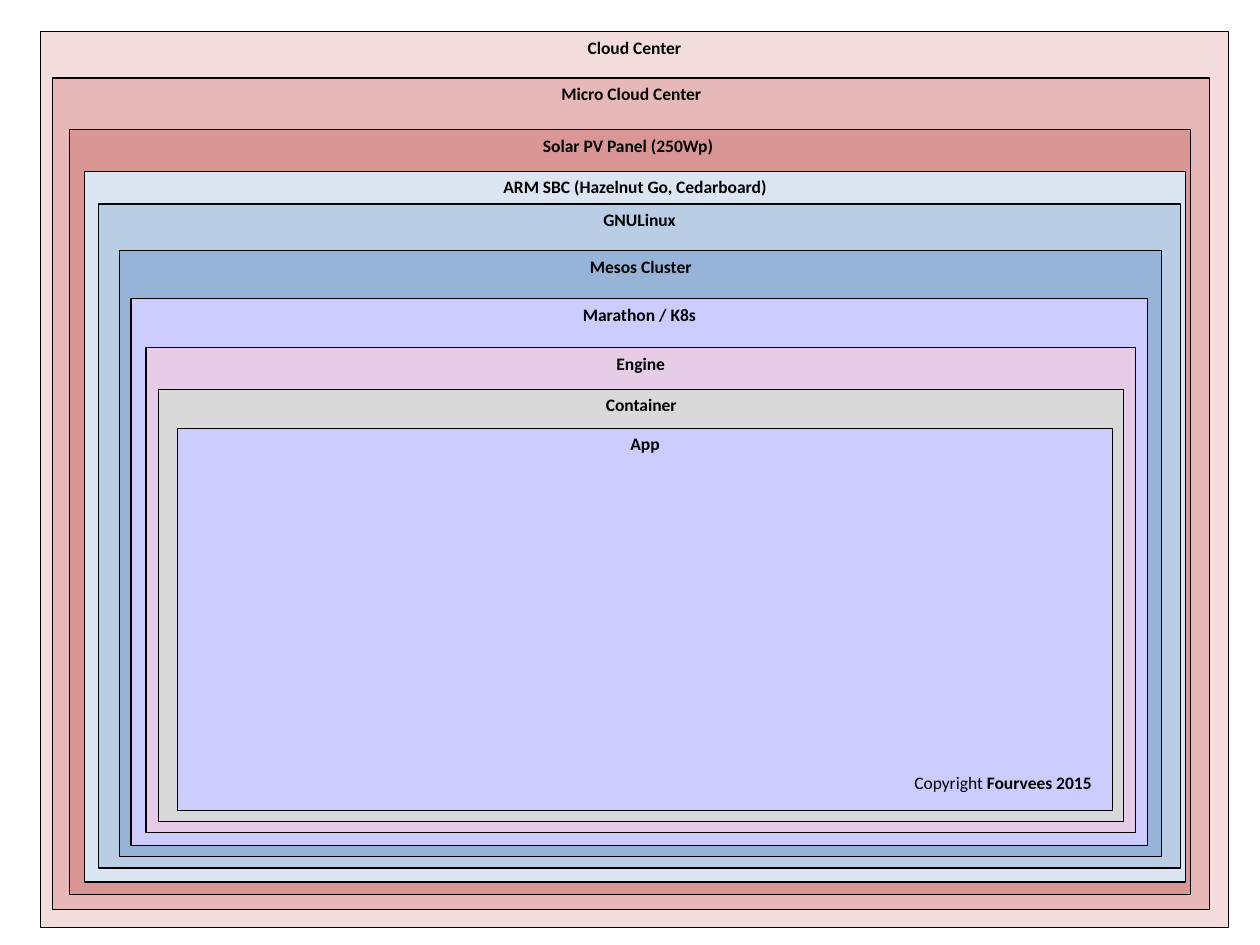
from typing import NamedTuple

from pptx import Presentation
from pptx.dml.color import RGBColor
from pptx.enum.shapes import MSO_SHAPE
from pptx.enum.text import MSO_ANCHOR, PP_ALIGN
from pptx.slide import Slide
from pptx.text.text import TextFrame, _Run
from pptx.util import Pt

BLACK = RGBColor(0x00, 0x00, 0x00)
PALE_RED = RGBColor(0xF3, 0xDC, 0xDC)
LIGHT_RED = RGBColor(0xE6, 0xB9, 0xB8)
MID_RED = RGBColor(0xDA, 0x96, 0x94)
PALE_BLUE = RGBColor(0xDC, 0xE6, 0xF2)
LIGHT_BLUE = RGBColor(0xB9, 0xCD, 0xE5)
MID_BLUE = RGBColor(0x95, 0xB4, 0xD8)
LAVENDER = RGBColor(0xCC, 0xCC, 0xFF)
PINK = RGBColor(0xE6, 0xCC, 0xE6)
GREY = RGBColor(0xD9, 0xD9, 0xD9)

FONT = "Calibri"
FONT_SIZE = Pt(10)
INSET = Pt(2.9)


class Layer(NamedTuple):
    title: str
    fill: RGBColor
    left: float
    top: float
    width: float
    height: float


LAYERS = [
    Layer("Cloud Center", PALE_RED, 23, 18, 679, 512),
    Layer("Micro Cloud Center", LIGHT_RED, 30.2, 44.6, 661, 475.2),
    Layer("Solar PV Panel (250Wp) ", MID_RED, 39.6, 74.2, 640.8, 437),
    Layer("ARM SBC (Hazelnut Go, Cedarboard)", PALE_BLUE, 48.2, 97.9, 629.3, 406.1),
    Layer("GNULinux", LIGHT_BLUE, 56.2, 116.6, 618.5, 379.4),
    Layer("Mesos Cluster", MID_BLUE, 68.4, 143.3, 595.4, 346.3),
    Layer("Marathon / K8s", LAVENDER, 74.9, 170.6, 581, 312.5),
    Layer("Engine", PINK, 83.5, 198.7, 565.2, 277.2),
    Layer("Container", GREY, 90.7, 222.5, 551.5, 247),
    Layer("App", LAVENDER, 101.5, 244.8, 534.2, 218.2),
]


def set_up_frame(frame: TextFrame) -> None:
    frame.word_wrap = True
    frame.vertical_anchor = MSO_ANCHOR.TOP
    frame.margin_left = frame.margin_right = INSET
    frame.margin_top = frame.margin_bottom = INSET
    frame.paragraphs[0].alignment = PP_ALIGN.CENTER


def format_run(run: _Run, bold: bool) -> None:
    run.font.name = FONT
    run.font.size = FONT_SIZE
    run.font.bold = bold
    run.font.color.rgb = BLACK


def draw_layer(slide: Slide, layer: Layer) -> None:
    box = slide.shapes.add_shape(
        MSO_SHAPE.RECTANGLE,
        Pt(layer.left), Pt(layer.top), Pt(layer.width), Pt(layer.height),
    )
    box.shadow.inherit = False
    box.fill.solid()
    box.fill.fore_color.rgb = layer.fill
    box.line.color.rgb = BLACK
    box.line.width = Pt(0.75)
    box.text_frame.text = layer.title
    set_up_frame(box.text_frame)
    format_run(box.text_frame.paragraphs[0].runs[0], bold=True)


def draw_copyright(slide: Slide) -> None:
    notice = slide.shapes.add_textbox(Pt(515.5), Pt(438.5), Pt(115.2), Pt(19.4))
    notice.text_frame.text = "Copyright "
    set_up_frame(notice.text_frame)
    line = notice.text_frame.paragraphs[0]
    format_run(line.runs[0], bold=False)
    owner = line.add_run()
    owner.text = "Fourvees 2015"
    format_run(owner, bold=True)


def main() -> None:
    deck = Presentation()
    deck.slide_width = Pt(720)
    deck.slide_height = Pt(540)
    slide = deck.slides.add_slide(deck.slide_layouts[6])
    for layer in LAYERS:
        draw_layer(slide, layer)
    draw_copyright(slide)
    deck.save("out.pptx")


if __name__ == "__main__":
    main()
